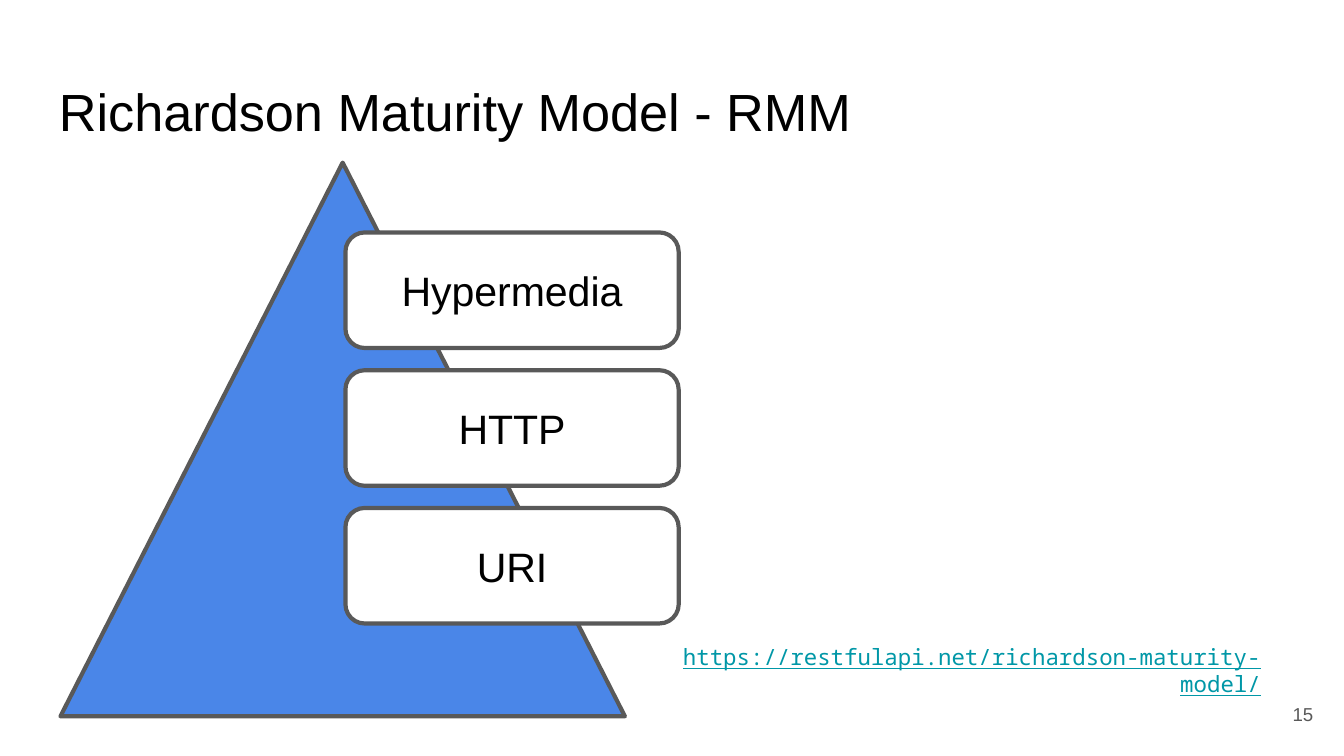
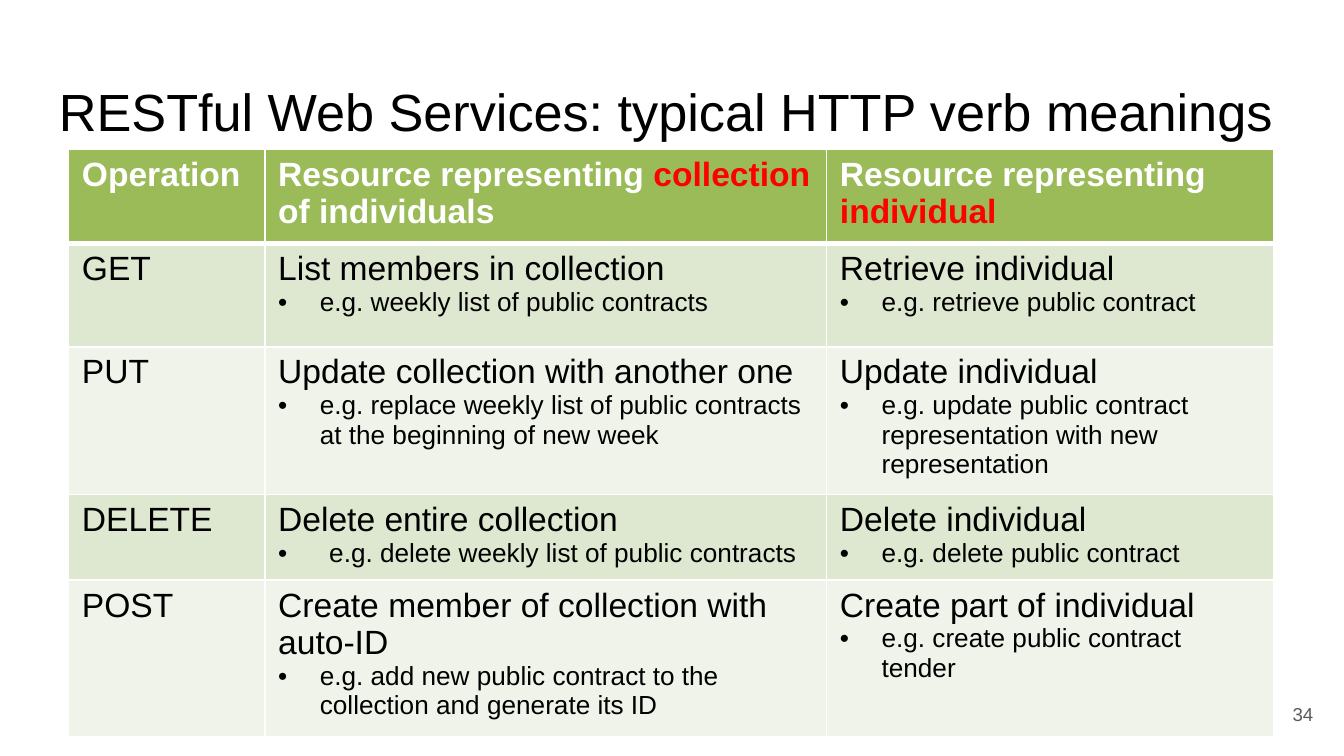
import pptx
import pptx.util
import pptx.dml.color
import pptx.enum.shapes
import pptx.enum.text
import pptx.oxml
import pptx.oxml.ns

Inches = pptx.util.Inches
Pt = pptx.util.Pt
Align = pptx.enum.text.PP_ALIGN
Anchor = pptx.enum.text.MSO_ANCHOR
Shape = pptx.enum.shapes.MSO_SHAPE


class Theme:
    font, mono = "Arial", "Noto Sans Mono"
    black, white, red = "000000", "FFFFFF", "FF0000"
    gray, blue, link = "595959", "4A86E8", "0097A7"
    head, bands = "9BBB59", ("DEE7D0", "EFF3E9")
    title, level, body, note, url, page = 28, 22, 18, 14, 12, 10
    edge, thin, thick = 2.25, 1, 3


LEVELS = ["Hypermedia", "HTTP", "URI"]
URL = "https://restfulapi.net/richardson-maturity-model/"

HEADS = [
    [("Operation", Theme.white)],
    [("Resource representing ", Theme.white), ("collection ", Theme.red),
     ("of individuals", Theme.white)],
    [("Resource representing ", Theme.white), ("individual", Theme.red)],
]
INDENT = 0.31
VERBS = [
    ("GET", 0.77, INDENT,
     ("List members in collection", "e.g. weekly list of public contracts"),
     ("Retrieve individual", "e.g. retrieve public contract")),
    ("PUT", 0.93, INDENT,
     ("Update collection with another one",
      "e.g. replace weekly list of public contracts at the beginning of new week"),
     ("Update individual",
      "e.g. update public contract representation with new representation")),
    ("DELETE", 0.57, 0.38,
     ("Delete entire collection", "e.g. delete weekly list of public contracts"),
     ("Delete individual", "e.g. delete public contract")),
    ("POST", 0.93, INDENT,
     ("Create member of collection with auto-ID",
      "e.g. add new public contract to the collection and generate its ID"),
     ("Create part of individual", "e.g. create public contract tender")),
]
COLS = [1.46, 4.18, 3.33]
TOP_ROW = 0.67
FRAME = (0.51, 1.11, 3.28, 3.28)


def rgb(code):
    return pptx.dml.color.RGBColor.from_string(code)


def add_run(para, text, size, color=Theme.black, face=Theme.font,
            bold=False, under=False):
    run = para.add_run()
    run.text = text
    font = run.font
    font.size, font.name = Pt(size), face
    font.bold, font.underline = bold, under
    font.color.rgb = rgb(color)


def set_frame(frame, anchor, align):
    frame.word_wrap = True
    frame.vertical_anchor = anchor
    frame.margin_left = frame.margin_right = Inches(0.1)
    frame.margin_top = frame.margin_bottom = Inches(0.1)
    para = frame.paragraphs[0]
    para.alignment = align
    return para


def add_text(slide, area, anchor=Anchor.MIDDLE, align=Align.RIGHT):
    box = slide.shapes.add_textbox(*map(Inches, area))
    return set_frame(box.text_frame, anchor, align)


def add_slide(deck, title, page):
    slide = deck.slides.add_slide(deck.slide_layouts[6])
    para = add_text(slide, (0.34, 0.49, 9.32, 0.63), Anchor.TOP, Align.LEFT)
    add_run(para, title, Theme.title)
    para = add_text(slide, (9.27, 5.1, 0.6, 0.43))
    add_run(para, str(page), Theme.page, Theme.gray)
    return slide


def add_part(group, kind, area, fill):
    part = group.shapes.add_shape(kind, *map(Inches, area))
    part.shadow.inherit = False
    part.fill.solid()
    part.fill.fore_color.rgb = rgb(fill)
    part.line.color.rgb = rgb(Theme.gray)
    part.line.width = Pt(Theme.edge)
    return part


def draw_model(deck):
    slide = add_slide(deck, "Richardson Maturity Model - RMM", 15)
    para = add_text(slide, (4.22, 4.63, 5.26, 0.71))
    props = para._p.get_or_add_pPr()
    props.set("marL", str(Inches(0.5)))
    props.set("indent", "0")
    add_run(para, URL, Theme.url, Theme.link, Theme.mono, under=True)

    group = slide.shapes.add_group_shape()
    add_part(group, Shape.ISOSCELES_TRIANGLE, (0.45, 1.21, 4.2, 4.12), Theme.blue)
    for i, name in enumerate(LEVELS):
        area = (2.57, 1.73 + i * 2.05 / 2, 2.48, 0.86)
        part = add_part(group, Shape.ROUNDED_RECTANGLE, area, Theme.white)
        para = set_frame(part.text_frame, Anchor.MIDDLE, Align.CENTER)
        add_run(para, name, Theme.level)


def add_xml(parent, body):
    space = pptx.oxml.ns.nsdecls("a")
    tag, rest = body.split(" ", 1)
    parent.append(pptx.oxml.parse_xml(f"<{tag} {space} {rest}"))


def set_cell(cell, fill, top, base):
    cell.margin_left = cell.margin_right = Inches(0.1)
    cell.margin_top = cell.margin_bottom = Inches(0.05)
    props = cell._tc.get_or_add_tcPr()
    widths = {"L": Theme.thin, "R": Theme.thin, "T": top, "B": base}
    for side, width in widths.items():
        add_xml(props, f'a:ln{side} w="{Pt(width)}"><a:solidFill>'
                       f'<a:srgbClr val="{Theme.white}"/></a:solidFill></a:ln{side}>')
    cell.fill.solid()
    cell.fill.fore_color.rgb = rgb(fill)
    return cell.text_frame


def add_note(frame, text, indent):
    para = frame.add_paragraph()
    props = para._p.get_or_add_pPr()
    props.set("marL", str(Inches(indent)))
    props.set("indent", str(-Inches(indent)))
    add_xml(props, f'a:buClr ><a:srgbClr val="{Theme.black}"/></a:buClr>')
    add_xml(props, f'a:buFont typeface="{Theme.font}"/>')
    add_xml(props, 'a:buChar char="•"/>')
    add_run(para, text, Theme.note)


def draw_verbs(deck):
    slide = add_slide(deck, "RESTful Web Services: typical HTTP verb meanings", 34)
    highs = [TOP_ROW] + [verb[1] for verb in VERBS]
    holder = slide.shapes.add_table(len(highs), len(COLS), *map(Inches, FRAME))
    table = holder.table
    for col, width in zip(table.columns, COLS):
        col.width = Inches(width)
    for row, high in zip(table.rows, highs):
        row.height = Inches(high)
    holder.width, holder.height = map(Inches, FRAME[2:])

    for j, runs in enumerate(HEADS):
        frame = set_cell(table.cell(0, j), Theme.head, Theme.thin, Theme.thick)
        for text, color in runs:
            add_run(frame.paragraphs[0], text, Theme.body, color, bold=True)

    for i, (name, _, indent, *pairs) in enumerate(VERBS, 1):
        fill = Theme.bands[(i - 1) % 2]
        top = Theme.thick if i == 1 else Theme.thin
        for j, (text, *notes) in enumerate([(name,), *pairs]):
            frame = set_cell(table.cell(i, j), fill, top, Theme.thin)
            add_run(frame.paragraphs[0], text, Theme.body)
            for note in notes:
                add_note(frame, note, indent if j == 1 else INDENT)


def main():
    deck = pptx.Presentation()
    deck.slide_width = Inches(10)
    deck.slide_height = deck.slide_width * 9 // 16
    draw_model(deck)
    draw_verbs(deck)
    deck.save("out.pptx")


if __name__ == "__main__":
    main()
